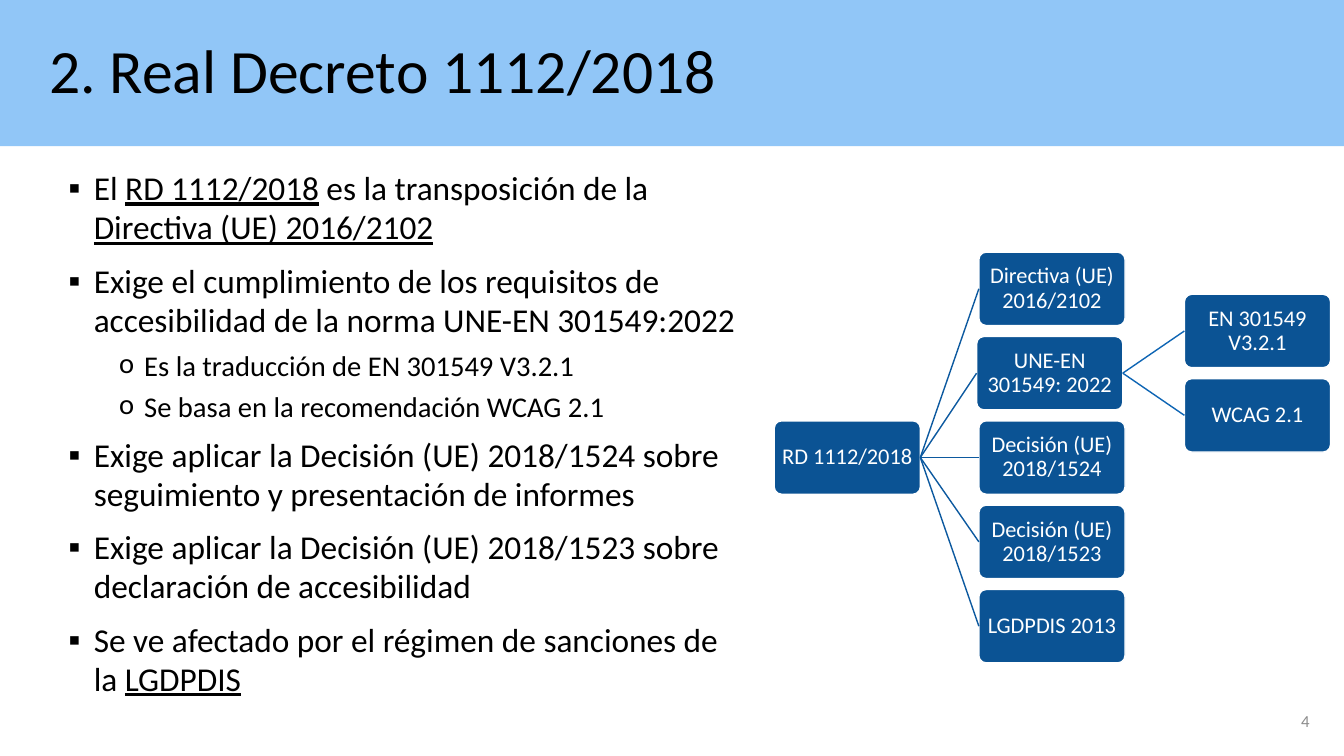
import lxml.etree
import pptx
import pptx.dml.color
import pptx.enum.shapes
import pptx.enum.text
import pptx.oxml.ns
import pptx.util

Pt = pptx.util.Pt
RGBColor = pptx.dml.color.RGBColor
PP_ALIGN = pptx.enum.text.PP_ALIGN
MSO_ANCHOR = pptx.enum.text.MSO_ANCHOR
MSO_AUTO_SIZE = pptx.enum.text.MSO_AUTO_SIZE
MSO_SHAPE = pptx.enum.shapes.MSO_SHAPE
qn = pptx.oxml.ns.qn

BLACK = RGBColor(0x00, 0x00, 0x00)
WHITE = RGBColor(0xFF, 0xFF, 0xFF)
GRAY = RGBColor(0x8C, 0x8C, 0x8C)
SKY = RGBColor(0x91, 0xC6, 0xF7)
NAVY = RGBColor(0x0B, 0x53, 0x94)
FIRST_LINK = RGBColor(0x0C, 0x59, 0x9F)
SECOND_LINK = RGBColor(0x0E, 0x65, 0xB4)
FONT = "Calibri"


def add_run(paragraph, text, size, color, underline=None):
    run = paragraph.add_run()
    run.text = text
    run.font.name = FONT
    run.font.size = Pt(size)
    run.font.color.rgb = color
    run.font.underline = underline


def place(shape, left, top, width, height):
    shape.left, shape.top = Pt(left), Pt(top)
    shape.width, shape.height = Pt(width), Pt(height)


presentation = pptx.Presentation()
presentation.slide_width = Pt(960)
presentation.slide_height = Pt(540)
slide = presentation.slides.add_slide(presentation.slide_layouts[1])

title = slide.shapes.title
place(title, 0, 0, 960, 104.4)
title.fill.solid()
title.fill.fore_color.rgb = SKY
title.text_frame.auto_size = MSO_AUTO_SIZE.NONE
title.text_frame.vertical_anchor = MSO_ANCHOR.MIDDLE
paragraph = title.text_frame.paragraphs[0]
paragraph.alignment = PP_ALIGN.LEFT
paragraph.line_spacing = 0.9
paragraph._p.get_or_add_pPr().set("marL", str(Pt(28)))
add_run(paragraph, "2. Real Decreto 1112/2018", 44, BLACK)

points = [
    (0, [("El ", False), ("RD 1112/2018", True), (" es la transposición de la ", False),
         ("Directiva (UE) 2016/2102", True)]),
    (0, [("Exige el cumplimiento de los requisitos de accesibilidad de la norma "
          "UNE-EN 301549:2022", False)]),
    (1, [("Es la traducción de EN 301549 V3.2.1", False)]),
    (1, [("Se basa en la recomendación WCAG 2.1", False)]),
    (0, [("Exige aplicar la Decisión (UE) 2018/1524 sobre seguimiento y presentación "
          "de informes", False)]),
    (0, [("Exige aplicar la Decisión (UE) 2018/1523 sobre declaración de accesibilidad",
          False)]),
    (0, [("Se ve afectado por el régimen de sanciones de la ", False), ("LGDPDIS", True)]),
]
level_styles = [
    {"bullet": "▪", "margin": 18, "size": 23.8, "spacing": 0.98, "before": 10},
    {"bullet": "o", "margin": 54, "size": 20.4, "spacing": 0.7, "before": 12},
]

body = slide.placeholders[1]
place(body, 41.8, 117.4, 496.8, 399.6)
body.text_frame.auto_size = MSO_AUTO_SIZE.NONE
body.text_frame.vertical_anchor = MSO_ANCHOR.TOP
for index, (level, runs) in enumerate(points):
    style = level_styles[level]
    paragraph = body.text_frame.add_paragraph() if index else body.text_frame.paragraphs[0]
    paragraph.level = level
    properties = paragraph._p.get_or_add_pPr()
    properties.set("marL", str(Pt(style["margin"])))
    properties.set("indent", str(Pt(-18)))
    lxml.etree.SubElement(properties, qn("a:buFont")).set("typeface", FONT)
    lxml.etree.SubElement(properties, qn("a:buChar")).set("char", style["bullet"])
    paragraph.alignment = PP_ALIGN.LEFT
    paragraph.line_spacing = style["spacing"]
    paragraph.space_before = Pt(style["before"] if index else 0)
    paragraph.space_after = Pt(0)
    for text, underline in runs:
        add_run(paragraph, text, style["size"], BLACK, underline)

page_number = slide.shapes.add_textbox(Pt(726.5), Pt(500.5), Pt(216), Pt(28.8))
page_number.text_frame.word_wrap = True
page_number.text_frame.vertical_anchor = MSO_ANCHOR.MIDDLE
paragraph = page_number.text_frame.paragraphs[0]
paragraph.alignment = PP_ALIGN.RIGHT
add_run(paragraph, "4", 12, GRAY)

ROOT = "RD 1112/2018"
STANDARD = "UNE-EN 301549: 2022"
ROOT_TOP = 300.6
ROW_STEP = 60.25
tree = [
    (ROOT, None, 553, 0, None),
    ("Directiva (UE) 2016/2102", ROOT, 699.2, -2, FIRST_LINK),
    (STANDARD, ROOT, 697.6, -1, FIRST_LINK),
    ("EN 301549 V3.2.1", STANDARD, 846, -1.5, SECOND_LINK),
    ("WCAG 2.1", STANDARD, 846, -0.5, SECOND_LINK),
    ("Decisión (UE) 2018/1524", ROOT, 699.2, 0, FIRST_LINK),
    ("Decisión (UE) 2018/1523", ROOT, 699.2, 1, FIRST_LINK),
    ("LGDPDIS 2013", ROOT, 699.2, 2, FIRST_LINK),
]

boxes = {}
for text, parent, left, row, link_color in tree:
    box = slide.shapes.add_shape(MSO_SHAPE.ROUNDED_RECTANGLE, Pt(left),
                                 Pt(ROOT_TOP + row * ROW_STEP), Pt(104.4), Pt(52.4))
    boxes[text] = box
    box.adjustments[0] = 0.1
    box.shadow.inherit = False
    box.fill.solid()
    box.fill.fore_color.rgb = NAVY
    box.line.color.rgb = WHITE
    box.line.width = Pt(1)
    frame = box.text_frame
    frame.word_wrap = True
    frame.vertical_anchor = MSO_ANCHOR.MIDDLE
    frame.margin_left = frame.margin_right = Pt(2)
    frame.margin_top = frame.margin_bottom = Pt(2)
    paragraph = frame.paragraphs[0]
    paragraph.alignment = PP_ALIGN.CENTER
    paragraph.line_spacing = 0.9
    add_run(paragraph, text, 16, WHITE)
    if parent:
        link = slide.shapes.add_connector(pptx.enum.shapes.MSO_CONNECTOR.STRAIGHT, 0, 0, 0, 0)
        link.begin_connect(boxes[parent], 3)
        link.end_connect(box, 1)
        link.line.color.rgb = link_color
        link.line.width = Pt(1)
        lxml.etree.SubElement(link._element.spPr, qn("a:effectLst"))

presentation.save("out.pptx")
